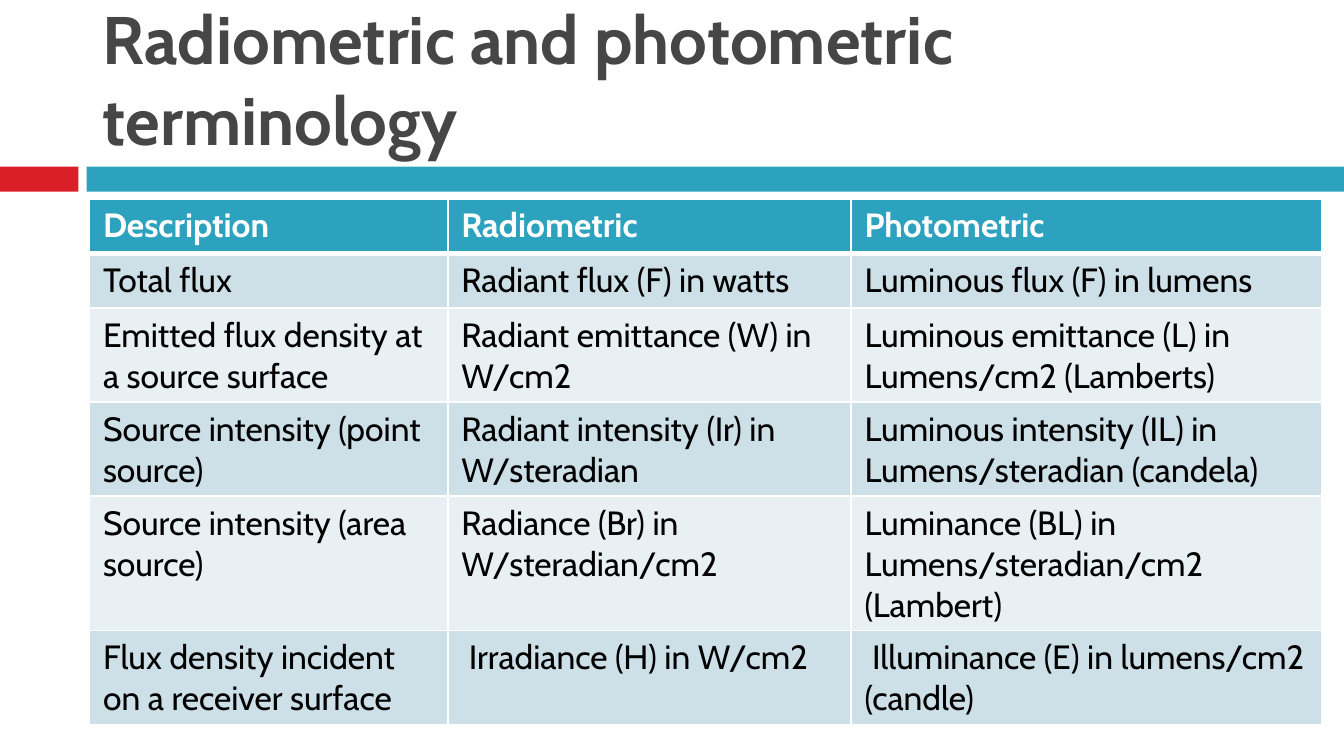
from lxml.etree import SubElement
from pptx import Presentation
from pptx.dml.color import RGBColor
from pptx.enum.shapes import MSO_SHAPE
from pptx.enum.text import MSO_ANCHOR
from pptx.oxml.ns import qn
from pptx.util import Pt

PX = 9525  # EMU per px, 96 px to the inch
FONT = "Cabin"
COLORS = {
    "red": "DA1F28",
    "teal": "2DA2BF",
    "title": "464646",
    "white": "FFFFFF",
    "black": "000000",
    "band_dark": "CDE0E8",
    "band_light": "E8F0F4",
}
COL_WIDTHS = [256, 288, 336]
ROW_HEIGHT = 39
ROWS = [
    ("Description", "Radiometric", "Photometric"),
    ("Total flux", "Radiant flux (F) in watts", "Luminous flux (F) in lumens"),
    ("Emitted flux density at a source surface",
     "Radiant emittance (W) in W/cm2",
     "Luminous emittance (L) in Lumens/cm2 (Lamberts)"),
    ("Source intensity (point source)",
     "Radiant intensity (Ir) in W/steradian",
     "Luminous intensity (IL) in Lumens/steradian (candela)"),
    ("Source intensity (area source)",
     "Radiance (Br) in W/steradian/cm2",
     "Luminance (BL) in Lumens/steradian/cm2 (Lambert)"),
    ("Flux density incident on a receiver surface",
     " Irradiance (H) in W/cm2",
     " Illuminance (E) in lumens/cm2 (candle)"),
]


def add_run(p, text, size, color, bold):
    r = p.add_run()
    r.text = text
    r.font.name = FONT
    r.font.size = Pt(size)
    r.font.bold = bold
    r.font.color.rgb = RGBColor.from_string(COLORS[color])


def set_borders(cell, bottom):
    """Draw white 1 pt borders, with the bottom one as wide as given."""
    tc_pr = cell._tc.get_or_add_tcPr()
    sides = [("a:lnL", 1), ("a:lnR", 1), ("a:lnT", 1), ("a:lnB", bottom)]
    for i, (tag, width) in enumerate(sides):
        ln = SubElement(tc_pr, qn(tag), w=str(Pt(width)))
        fill = SubElement(ln, qn("a:solidFill"))
        SubElement(fill, qn("a:srgbClr"), val=COLORS["white"])
        tc_pr.insert(i, ln)  # borders come before the fill


prs = Presentation()
prs.slide_width, prs.slide_height = 960 * PX, 540 * PX
s = prs.slides.add_slide(prs.slide_layouts[6])

# Accent bars under the title
for left, width, color in [(0, 56, "red"), (62, 898, "teal")]:
    bar = s.shapes.add_shape(MSO_SHAPE.RECTANGLE, left * PX, 119 * PX, width * PX, 18 * PX)
    bar.shadow.inherit = False
    bar.fill.solid()
    bar.fill.fore_color.rgb = RGBColor.from_string(COLORS[color])
    bar.line.fill.background()

# Title
title = s.shapes.add_textbox(64 * PX, 12 * PX, 856 * PX, 106 * PX)
tf = title.text_frame
tf.word_wrap = True
tf.vertical_anchor = MSO_ANCHOR.BOTTOM
add_run(tf.paragraphs[0], "Radiometric and photometric terminology", 36, "title", True)

# Terminology table
table = s.shapes.add_table(len(ROWS), len(COL_WIDTHS), 64 * PX, 142 * PX,
                           sum(COL_WIDTHS) * PX, len(ROWS) * ROW_HEIGHT * PX).table
for col, width in zip(table.columns, COL_WIDTHS):
    col.width = width * PX
for i, texts in enumerate(ROWS):
    table.rows[i].height = ROW_HEIGHT * PX
    header = i == 0
    band = "teal" if header else "band_dark" if i % 2 else "band_light"
    for j, text in enumerate(texts):
        cell = table.cell(i, j)
        cell.fill.solid()
        cell.fill.fore_color.rgb = RGBColor.from_string(COLORS[band])
        set_borders(cell, 3 if header else 1)
        add_run(cell.text_frame.paragraphs[0], text, 18, "white" if header else "black", header)

prs.save("out.pptx")
